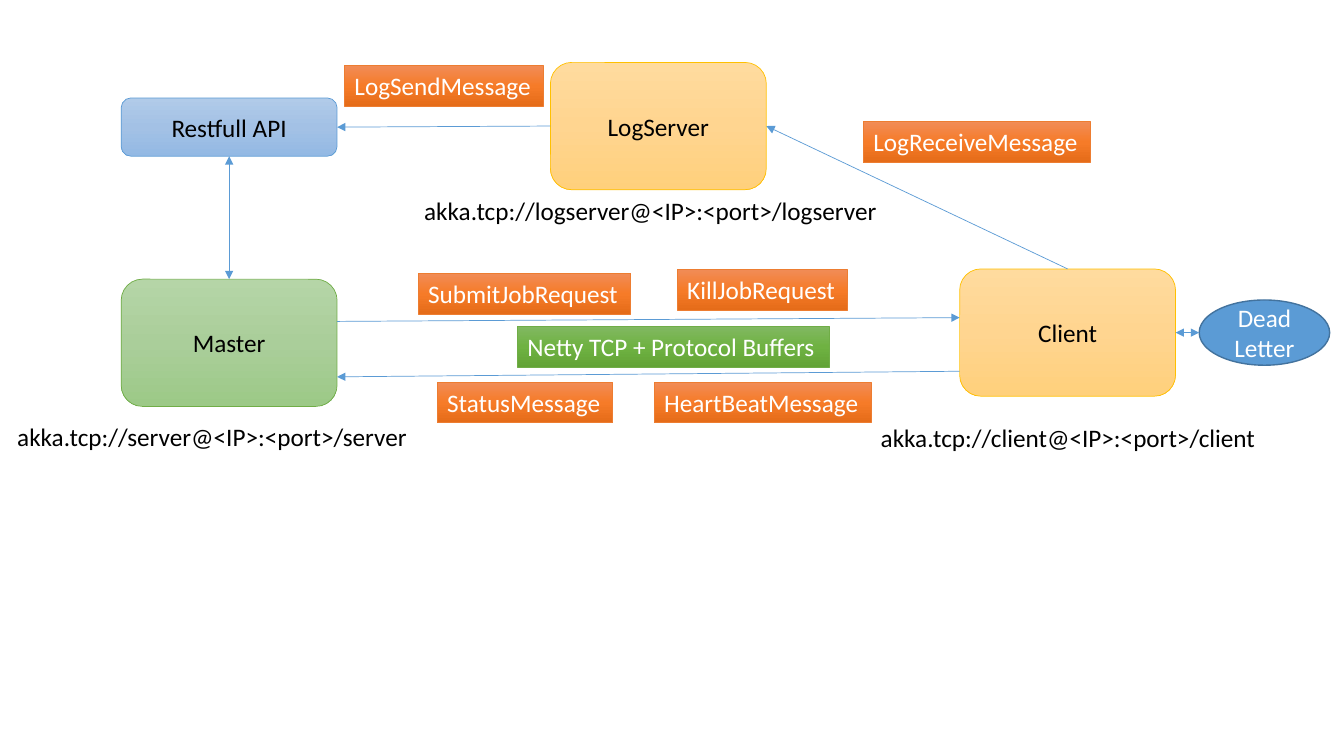
from copy import deepcopy
from pptx import Presentation
from pptx.dml.color import RGBColor
from pptx.enum.shapes import MSO_CONNECTOR, MSO_SHAPE
from pptx.enum.text import MSO_ANCHOR, MSO_AUTO_SIZE, PP_ALIGN
from pptx.oxml.ns import qn
from pptx.util import Pt
from lxml.etree import SubElement

BLUE, GREEN, GOLD, ORANGE = "5B9BD5", "70AD47", "FFC000", "ED7D31"
BLACK, WHITE = "000000", "FFFFFF"
TOP, LEFT, BOTTOM, RIGHT = range(4)

# Gradient stops, top to bottom
SOFT = {
    BLUE: ("B1CBE9", "A3C1E5", "93B9E4"),
    GREEN: ("B5D5A7", "AACE9A", "9CC987"),
    GOLD: ("FFDB9E", "FFD590", "FFD07C"),
}
DEEP = {
    ORANGE: ("F18C57", "F67B28", "E56C19"),
    GREEN: ("81B861", "6FB242", "62A336"),
}


def paint(color, code):
    color.rgb = RGBColor.from_string(code)


class Board:
    font, size, thin = "Calibri", Pt(18), Pt(0.5)
    wide, high, row = 154.2, 90.9, 29.1

    def __init__(self, slide):
        self.slide = slide

    def words(self, shape, text, color, fit=False):
        frame = shape.text_frame
        frame.word_wrap = not fit
        para = frame.paragraphs[0]
        if fit:
            frame.auto_size = MSO_AUTO_SIZE.SHAPE_TO_FIT_TEXT
            frame.vertical_anchor = MSO_ANCHOR.TOP
            para.alignment = PP_ALIGN.LEFT
        else:
            frame.vertical_anchor = MSO_ANCHOR.MIDDLE
            para.alignment = PP_ALIGN.CENTER
        run = para.add_run()
        run.text = text
        run.font.name, run.font.size = self.font, self.size
        paint(run.font.color, color)

    def shape(self, kind, x, y, w, h, edge, width):
        item = self.slide.shapes.add_shape(kind, Pt(x), Pt(y), Pt(w), Pt(h))
        item.shadow.inherit = False
        paint(item.line.color, edge)
        item.line.width = width
        return item

    def blend(self, item, codes):
        fill = item.fill
        fill.gradient()
        fill.gradient_angle = 270
        first = item._element.spPr.find(".//" + qn("a:gs"))
        first.addnext(deepcopy(first))
        for stop, place, code in zip(fill.gradient_stops, (0, 0.5, 1), codes):
            stop.position = place
            paint(stop.color, code)

    def card(self, text, x, y, tone, h=high):
        item = self.shape(MSO_SHAPE.ROUNDED_RECTANGLE, x, y, self.wide, h, tone, self.thin)
        self.blend(item, SOFT[tone])
        self.words(item, text, BLACK)
        return item

    def tag(self, text, x, y, w, tone=ORANGE):
        item = self.shape(MSO_SHAPE.RECTANGLE, x, y, w, self.row, tone, self.thin)
        self.blend(item, DEEP[tone])
        self.words(item, text, WHITE, fit=True)

    def oval(self, text, x, y, w, h):
        item = self.shape(MSO_SHAPE.OVAL, x, y, w, h, "43739E", Pt(1))
        item.fill.solid()
        paint(item.fill.fore_color, BLUE)
        self.words(item, text, WHITE)

    def label(self, text, x, y, w):
        item = self.slide.shapes.add_textbox(Pt(x), Pt(y), Pt(w), Pt(self.row))
        self.words(item, text, BLACK, fit=True)

    def arrow(self, x1, y1, x2, y2, both=False):
        item = self.slide.shapes.add_connector(
            MSO_CONNECTOR.STRAIGHT, Pt(x1), Pt(y1), Pt(x2), Pt(y2))
        paint(item.line.color, BLUE)
        item.line.width = self.thin
        props = item._element.spPr
        for end in ("a:headEnd", "a:tailEnd") if both else ("a:tailEnd",):
            SubElement(props.find(qn("a:ln")), qn(end), type="triangle")
        SubElement(props, qn("a:effectLst"))
        return item

    def join(self, start, side, goal, face, both=False):
        item = self.arrow(0, 0, 0, 0, both)
        item.begin_connect(start, side)
        item.end_connect(goal, face)


deck = Presentation()
deck.slide_width, deck.slide_height = Pt(960), Pt(540)
board = Board(deck.slides.add_slide(deck.slide_layouts[6]))

# Nodes
master = board.card("Master", 86.6, 199.4, GREEN)
rest = board.card("Restfull API", 86.6, 70, BLUE, 41.6)
server = board.card("LogServer", 393.2, 44.6, GOLD)
client = board.card("Client", 685.5, 192.1, GOLD)

# Addresses
for name, x, y, w in (("logserver", 295.9, 136.2, 341.3),
                      ("server", 5.2, 297.4, 295.9),
                      ("client", 622, 298, 285.1)):
    board.label(f"akka.tcp://{name}@<IP>:<port>/{name}", x, y, w)

# Arrows between nodes
near, far = 240.8, 685.5
board.arrow(near, 229.6, far, 226.9)
board.arrow(far, 265.2, near, 269.2)
board.join(client, TOP, server, RIGHT)
board.join(server, LEFT, rest, RIGHT)
board.join(master, TOP, rest, BOTTOM, both=True)

# Messages
for text, x, y, w in (("SubmitJobRequest", 298.7, 195.1, 151.9),
                      ("StatusMessage", 312.3, 272.9, 125.3),
                      ("LogReceiveMessage", 616.8, 87, 162.2),
                      ("HeartBeatMessage", 467.3, 272.9, 154.8),
                      ("KillJobRequest", 483.8, 192.6, 121.3),
                      ("LogSendMessage", 246.1, 46.8, 142.1)):
    board.tag(text, x, y, w)
board.tag("Netty TCP + Protocol Buffers", 369.7, 233.2, 222.8, GREEN)

# Dead letters
board.oval("Dead Letter", 856.6, 214.3, 93.2, 46.6)
board.arrow(839.7, 237.6, 856.6, 237.6, both=True)

deck.save("out.pptx")
